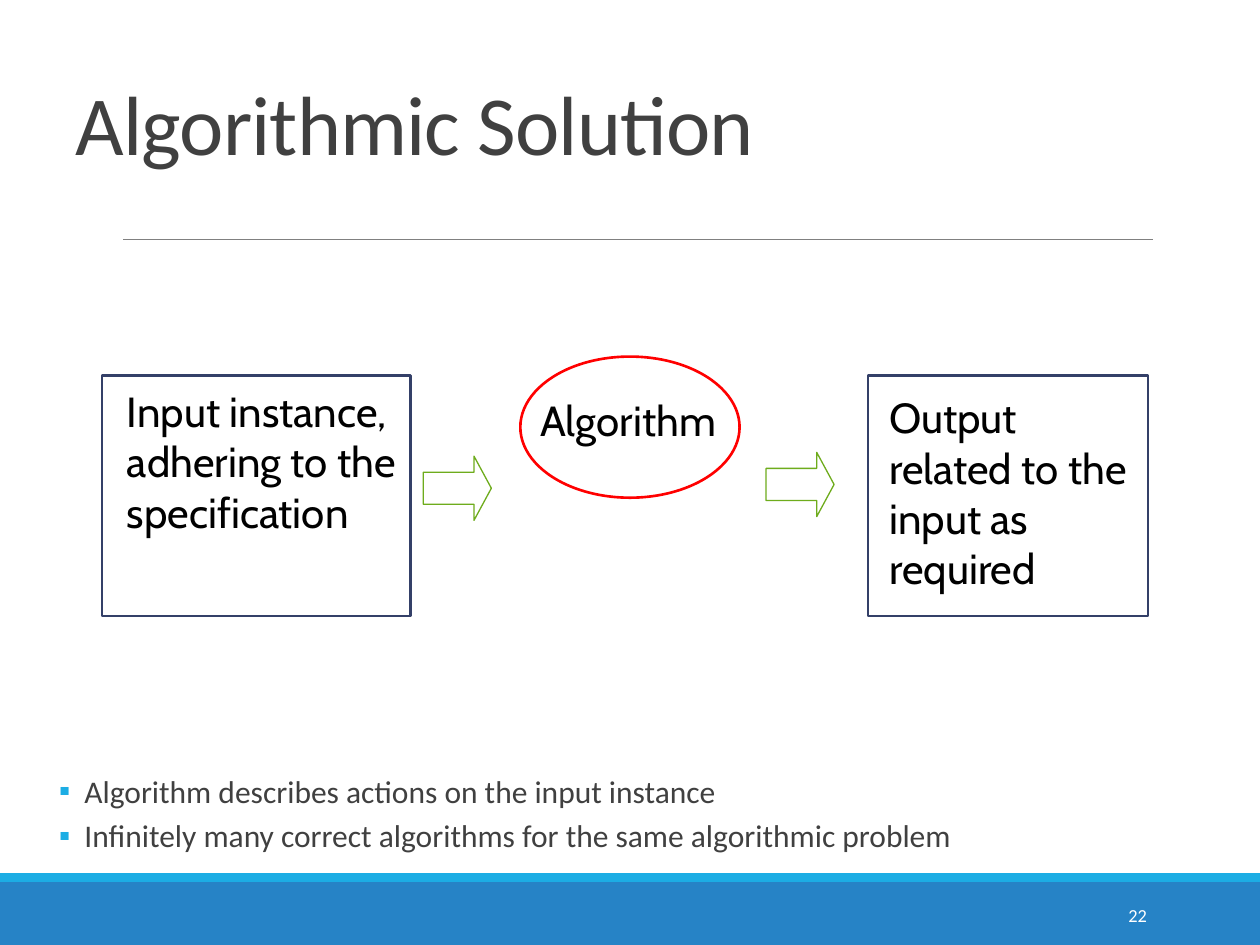
from lxml import etree
from pptx import Presentation
from pptx.dml.color import RGBColor
from pptx.enum.shapes import MSO_CONNECTOR, MSO_SHAPE
from pptx.enum.text import MSO_ANCHOR, MSO_AUTO_SIZE, PP_ALIGN
from pptx.oxml.ns import qn
from pptx.util import Inches, Pt

RECTANGLE = MSO_SHAPE.RECTANGLE
ELLIPSE = MSO_SHAPE.OVAL
RIGHT_ARROW = MSO_SHAPE.RIGHT_ARROW
STRAIGHT = MSO_CONNECTOR.STRAIGHT
TOP, MIDDLE, BOTTOM = MSO_ANCHOR.TOP, MSO_ANCHOR.MIDDLE, MSO_ANCHOR.BOTTOM
LEFT, RIGHT = PP_ALIGN.LEFT, PP_ALIGN.RIGHT
NO_AUTOFIT = MSO_AUTO_SIZE.NONE

DARK_GRAY = "404040"
BRIGHT_BLUE = "1CADE4"
NAVY = "344068"


def color(value):
    return RGBColor.from_string(value)


def set_format(target, values):
    for name, value in values.items():
        setattr(target, name, value)


class SlideBuilder:
    heading = {"name": "Calibri", "size": Pt(48)}
    bullet = {"name": "Calibri", "size": Pt(18)}
    number = {"name": "Calibri", "size": Pt(10.5)}
    label = {"name": "Cabin", "size": Pt(24)}

    def __init__(self, slide):
        self.slide = slide

    def place(self, shape, box):
        names = ("left", "top", "width", "height")
        set_format(shape, dict(zip(names, map(Inches, box))))

    def add_words(self, paragraph, text, font, font_color, **layout):
        run = paragraph.add_run()
        run.text = text
        set_format(run.font, font)
        run.font.color.rgb = color(font_color)
        set_format(paragraph, layout)
        return run

    def title(self, text, box):
        shape = self.slide.shapes.title
        self.place(shape, box)
        frame = shape.text_frame
        set_format(frame, {"auto_size": NO_AUTOFIT, "vertical_anchor": BOTTOM})
        run = self.add_words(frame.paragraphs[0], text, self.heading, DARK_GRAY,
                             alignment=LEFT, line_spacing=0.85)
        run.font._element.set("spc", "-50")

    def bullets(self, items, box):
        shape = self.slide.placeholders[1]
        self.place(shape, box)
        frame = shape.text_frame
        set_format(frame, {"auto_size": NO_AUTOFIT, "vertical_anchor": TOP,
                           "margin_left": 0, "margin_right": 0})
        for index, item in enumerate(items):
            paragraph = frame.add_paragraph() if index else frame.paragraphs[0]
            properties = paragraph._p.get_or_add_pPr()
            properties.set("marL", str(Inches(0.42)))
            properties.set("indent", str(Inches(-0.2)))
            bullet_color = etree.SubElement(properties, qn("a:buClr"))
            etree.SubElement(bullet_color, qn("a:srgbClr"), val=BRIGHT_BLUE)
            etree.SubElement(properties, qn("a:buFont"), typeface="Calibri")
            etree.SubElement(properties, qn("a:buChar"), char="▪")
            self.add_words(paragraph, item, self.bullet, DARK_GRAY, level=1,
                           line_spacing=0.9, space_after=Pt(4),
                           space_before=Pt(2 if index else 0))

    def text(self, text, box, font, font_color="000000", wrap=True,
             anchor=TOP, alignment=LEFT):
        frame = self.slide.shapes.add_textbox(*map(Inches, box)).text_frame
        set_format(frame, {"word_wrap": wrap, "vertical_anchor": anchor})
        self.add_words(frame.paragraphs[0], text, font, font_color,
                       alignment=alignment)

    def shape(self, kind, box, fill=None, line=None, width=1.5):
        shape = self.slide.shapes.add_shape(kind, *map(Inches, box))
        shape.shadow.inherit = False
        if fill:
            shape.fill.solid()
            shape.fill.fore_color.rgb = color(fill)
        else:
            shape.fill.background()
        if line:
            shape.line.color.rgb = color(line)
            shape.line.width = Pt(width)
        else:
            shape.line.fill.background()
        return shape

    def arrow(self, left, top):
        arrow = self.shape(RIGHT_ARROW, (left, top, 0.54, 0.51),
                           line="6EAC1C", width=0.75)
        arrow.adjustments[1] = 0.27

    def rule(self, left, right, top):
        line = self.slide.shapes.add_connector(
            STRAIGHT, *map(Inches, (left, top, right, top)))
        line.line.color.rgb = color("808080")
        line.line.width = Pt(0.5)
        etree.SubElement(line._element.spPr, qn("a:effectLst"))


def main():
    presentation = Presentation()
    presentation.slide_width = Inches(10)
    presentation.slide_height = Inches(7.5)
    slide = presentation.slides.add_slide(presentation.slide_layouts[1])
    builder = SlideBuilder(slide)

    builder.shape(RECTANGLE, (0, 7, 10, 0.5), fill="2683C6")
    builder.shape(RECTANGLE, (0, 6.93, 10, 0.07), fill=BRIGHT_BLUE)
    builder.rule(0.98, 9.15, 1.9)
    builder.title("Algorithmic Solution", (0.5, 0.37, 9, 1.05))
    builder.bullets(
        ["Algorithm describes actions on the input instance",
         "Infinitely many correct algorithms for the same algorithmic problem"],
        (0.25, 6.11, 9.58, 1.39))
    builder.text("22", (8.12, 7.06, 1.08, 0.4), builder.number, "FFFFFF",
                 anchor=MIDDLE, alignment=RIGHT)

    builder.shape(RECTANGLE, (0.81, 2.98, 2.45, 1.91), line=NAVY)
    builder.text("Input instance, adhering to the specification",
                 (0.91, 3.01, 2.43, 1.7), builder.label)
    builder.arrow(3.36, 3.62)
    builder.shape(ELLIPSE, (4.13, 2.83, 1.74, 1.12), line="FF0000")
    builder.text("Algorithm", (4.19, 3.08, 1.61, 0.5), builder.label, wrap=False)
    builder.arrow(6.08, 3.59)
    builder.shape(RECTANGLE, (6.89, 2.98, 2.22, 1.91), line=NAVY)
    builder.text("Output related to the input as required",
                 (6.96, 3.06, 2.12, 1.7), builder.label)

    presentation.save("out.pptx")


if __name__ == "__main__":
    main()
